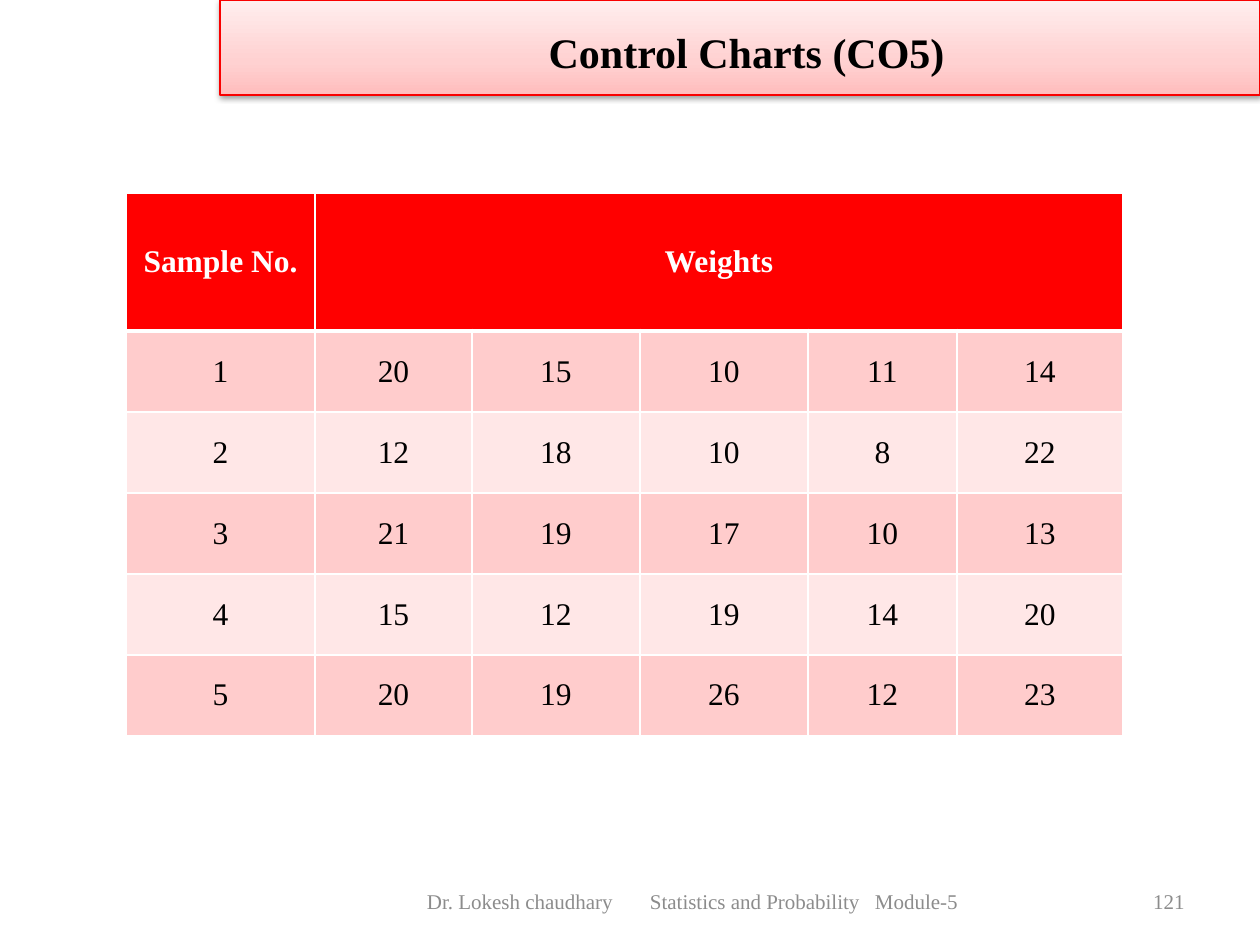
import pptx
import pptx.util
import pptx.dml.color
import pptx.enum.text
import pptx.oxml
import pptx.oxml.ns

PX = 914400 / 126
FONT = "Times New Roman"
BLACK = pptx.dml.color.RGBColor(0x00, 0x00, 0x00)
WHITE = pptx.dml.color.RGBColor(0xFF, 0xFF, 0xFF)
GRAY = pptx.dml.color.RGBColor(0x8C, 0x8C, 0x8C)
RED = pptx.dml.color.RGBColor(0xFF, 0x00, 0x00)
TITLE_LINE = pptx.dml.color.RGBColor(0xF9, 0x00, 0x00)
TITLE_STOPS = [
    (0, pptx.dml.color.RGBColor(0xFF, 0xBD, 0xBD)),
    (0.35, pptx.dml.color.RGBColor(0xFF, 0xD1, 0xD1)),
    (1, pptx.dml.color.RGBColor(0xFF, 0xEE, 0xEE)),
]
BANDS = [
    pptx.dml.color.RGBColor(0xFF, 0xE7, 0xE7),
    pptx.dml.color.RGBColor(0xFF, 0xCC, 0xCC),
]
NAMESPACE = pptx.oxml.ns.nsdecls("a")
ALIGN = pptx.enum.text.PP_ALIGN
MIDDLE = pptx.enum.text.MSO_ANCHOR.MIDDLE


def px(value):
    return pptx.util.Emu(round(value * PX))


def add_text(paragraph, text, size, color, bold, alignment):
    paragraph.alignment = alignment
    run = paragraph.add_run()
    run.text = text
    values = {"name": FONT, "size": pptx.util.Pt(size), "bold": bold}
    for name, value in values.items():
        setattr(run.font, name, value)
    run.font.color.rgb = color


presentation = pptx.Presentation()
presentation.slide_width = px(1260)
presentation.slide_height = px(945)
slide = presentation.slides.add_slide(presentation.slide_layouts[5])

footers = [
    (346, 693, 81, "Dr. Lokesh chaudhary\tStatistics and Probability\tModule-5", ALIGN.LEFT),
    (903, 294, 13, "121", ALIGN.RIGHT),
]
for left, width, margin, text, alignment in footers:
    shape = slide.shapes.add_textbox(px(left), px(876), px(width), px(50))
    frame = shape.text_frame
    values = {"word_wrap": True, "vertical_anchor": MIDDLE, "margin_left": px(margin)}
    for name, value in values.items():
        setattr(frame, name, value)
    paragraph = frame.paragraphs[0]
    if "\t" in text:
        tabs = "".join(f'<a:tab pos="{px(stop)}" algn="l"/>' for stop in (223, 448))
        paragraph._p.get_or_add_pPr().append(
            pptx.oxml.parse_xml(f"<a:tabLst {NAMESPACE}>{tabs}</a:tabLst>")
        )
    add_text(paragraph, text, 12, GRAY, False, alignment)

title = slide.shapes.title
values = {"left": px(220), "top": px(0), "width": px(1040), "height": px(95)}
for name, value in values.items():
    setattr(title, name, value)
title.fill.gradient()
title.fill.gradient_angle = 90
stops = title._element.spPr.find(".//" + pptx.oxml.ns.qn("a:gsLst"))
stops.append(pptx.oxml.parse_xml(f'<a:gs {NAMESPACE} pos="0"><a:srgbClr val="FFFFFF"/></a:gs>'))
for stop, (position, color) in zip(title.fill.gradient_stops, TITLE_STOPS):
    stop.position = position
    stop.color.rgb = color
title.line.color.rgb = TITLE_LINE
title.line.width = pptx.util.Pt(0.75)
title._element.spPr.append(pptx.oxml.parse_xml(
    f'<a:effectLst {NAMESPACE}><a:outerShdw blurRad="{pptx.util.Pt(3.1)}" '
    f'dist="{pptx.util.Pt(1.6)}" dir="5400000" rotWithShape="0">'
    '<a:srgbClr val="000000"><a:alpha val="38000"/></a:srgbClr></a:outerShdw></a:effectLst>'
))
values = {
    "word_wrap": True,
    "vertical_anchor": MIDDLE,
    "auto_size": pptx.enum.text.MSO_AUTO_SIZE.NONE,
}
for name, value in values.items():
    setattr(title.text_frame, name, value)
for text, size in [(" ", 30), ("Control Charts (CO5)", 24)]:
    add_text(title.text_frame.paragraphs[0], text, size, BLACK, True, ALIGN.CENTER)

rows = [
    ["Sample No.", "Weights", "", "", "", ""],
    [1, 20, 15, 10, 11, 14],
    [2, 12, 18, 10, 8, 22],
    [3, 21, 19, 17, 10, 13],
    [4, 15, 12, 19, 14, 20],
    [5, 20, 19, 26, 12, 23],
]
column_widths = [189, 157, 168, 168, 149, 166]
row_heights = [138] + [81] * 5
table = slide.shapes.add_table(
    len(rows), len(column_widths), px(126), px(193), px(sum(column_widths)), px(sum(row_heights))
).table
for column, width in zip(table.columns, column_widths):
    column.width = px(width)
for row, height in zip(table.rows, row_heights):
    row.height = px(height)
table.cell(0, 1).merge(table.cell(0, 5))

for row_index, row in enumerate(rows):
    header = row_index == 0
    for column_index, value in enumerate(row):
        cell = table.cell(row_index, column_index)
        cell.vertical_anchor = MIDDLE
        cell.fill.solid()
        cell.fill.fore_color.rgb = RED if header else BANDS[row_index % 2]
        borders = {"L": 1, "R": 1, "T": 3 if row_index == 1 else 1, "B": 3 if header else 1}
        properties = cell._tc.get_or_add_tcPr()
        for index, (side, width) in enumerate(borders.items()):
            properties.insert(index, pptx.oxml.parse_xml(
                f'<a:ln{side} {NAMESPACE} w="{pptx.util.Pt(width)}"><a:solidFill>'
                f'<a:srgbClr val="{WHITE}"/></a:solidFill></a:ln{side}>'
            ))
        if value != "":
            color = WHITE if header else BLACK
            add_text(cell.text_frame.paragraphs[0], str(value), 18, color, header, ALIGN.CENTER)

presentation.save("out.pptx")
